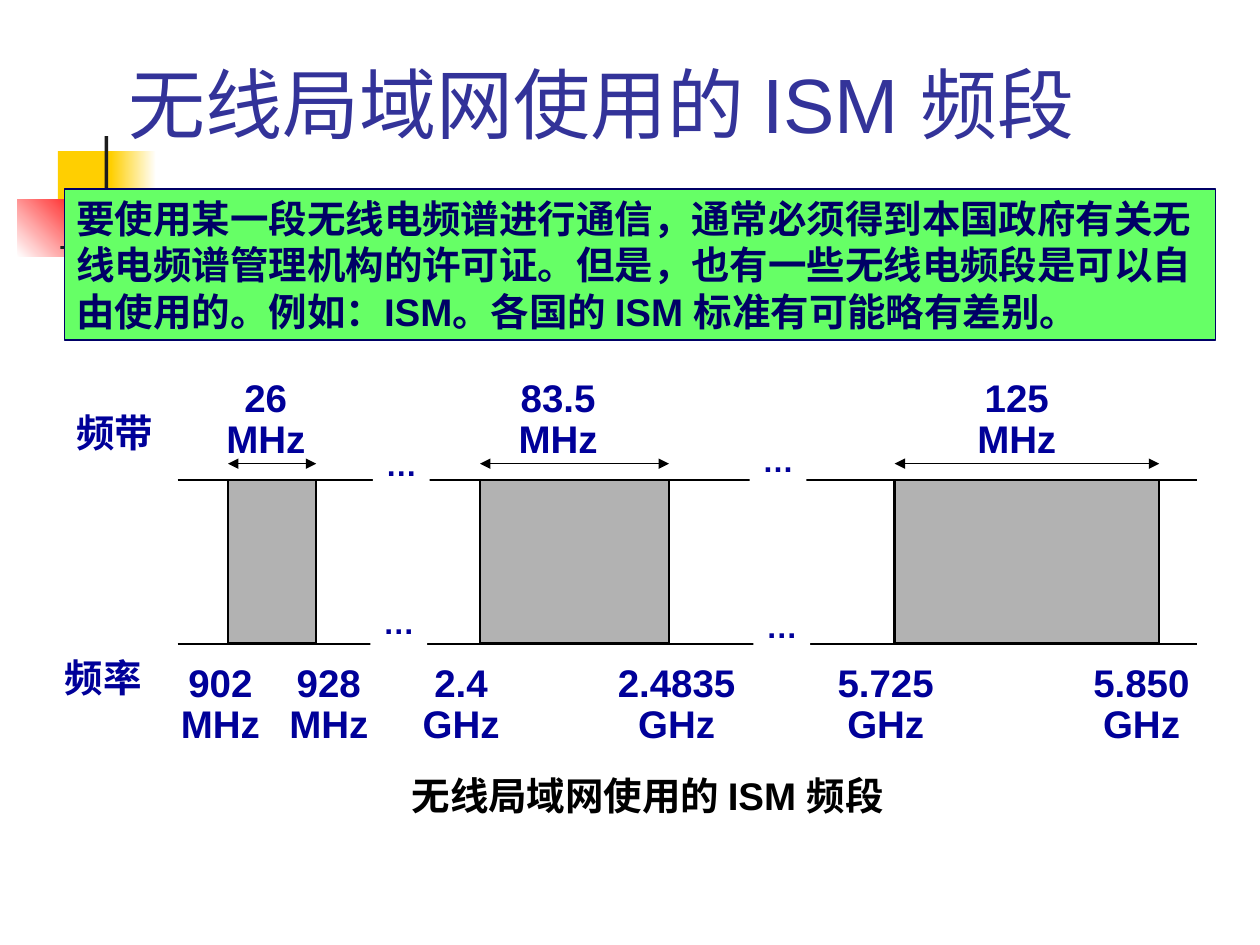
from lxml import etree
from pptx import Presentation, util as u
from pptx.dml.color import RGBColor
from pptx.enum import shapes, text
from pptx.oxml.ns import qn

# Content: places are columns and rows of a 100 x 75 grid
COLORS = {
    "title": "333399", "label": "000099", "note": "000066", "green": "66FF66",
    "band": "B2B2B2", "black": "000000", "white": "FFFFFF",
    "yellow": "FFCF01", "red": "FF0000", "dark": "1C1C1C",
}
TITLE = "无线局域网使用的 ISM 频段"
NOTE = ("要使用某一段无线电频谱进行通信，通常必须得到本国政府有关无线电频谱管理机构的许可证。"
        "但是，也有一些无线电频段是可以自由使用的。例如：ISM。各国的 ISM 标准有可能略有差别。")
# left, top, width, height, first colour, last colour, angle
ORNAMENTS = [
    (4.6, 12, 4.8, 5.2, "yellow", None, 0),
    (8.8, 12, 3.6, 5.2, "yellow", "white", 0),
    (1.4, 15.8, 6.1, 4.6, "white", "red", 45),
    (8.3, 10.8, 0.3, 11.5, "dark", None, 0),
    (4.8, 19.5, 90, 0.3, "dark", "white", 0),
]
AXIS_LEFT, AXIS_RIGHT, AXIS_TOP, AXIS_BOTTOM = 14.1, 95, 38.1, 51.1
ARROW_ROW = 36.8
BANDS = [(18.1, 25.1), (38.1, 53.1), (71, 92)]  # left and right edges
BANDWIDTHS = [(21.1, "26", "MHz"), (44.3, "83.5", "MHz"), (80.7, "125", "MHz")]
FREQUENCIES = [
    (17.5, "902", "MHz"), (26.1, "928", "MHz"), (36.6, "2.4", "GHz"),
    (53.7, "2.4835", "GHz"), (70.3, "5.725", "GHz"), (90.6, "5.850", "GHz"),
]
ROW_NAMES = [(9.1, 32, "频带"), (8.2, 51.4, "频率")]
GAPS = [(29.6, 34.8), (29.4, 47.4), (59.5, 34.5), (59.8, 47.7)]

presentation = Presentation()
presentation.slide_width, presentation.slide_height = u.Inches(10), u.Inches(7.5)
UNIT = presentation.slide_width / 100
slide = presentation.slides.add_slide(presentation.slide_layouts[5])


def grid(*values):
    return [round(value * UNIT) for value in values]


def color(name):
    return RGBColor.from_string(COLORS[name])


def add_box(left, top, width, height, fill, line=None, weight=1.5):
    shape = slide.shapes.add_shape(shapes.MSO_SHAPE.RECTANGLE,
                                   *grid(left, top, width, height))
    shape.shadow.inherit = False
    shape.fill.solid()
    shape.fill.fore_color.rgb = color(fill)
    if line:
        shape.line.color.rgb = color(line)
        shape.line.width = u.Pt(weight)
    else:
        shape.line.fill.background()
    return shape


def write(shape, lines, ink, size=22, align=text.PP_ALIGN.CENTER, wrap=True,
          spacing=None, bold=True):
    frame = shape.text_frame
    frame.text = "\n".join(lines)
    frame.word_wrap = wrap
    frame.auto_size = text.MSO_AUTO_SIZE.NONE
    frame.vertical_anchor = text.MSO_ANCHOR.TOP
    for paragraph in frame.paragraphs:
        paragraph.alignment = align
        if spacing:
            paragraph.line_spacing = spacing
        font = paragraph.font
        font.name, font.size, font.bold = "Arial", u.Pt(size), bold
        font.color.rgb = color(ink)


def add_label(center, top, lines, spacing=None):
    width = 14
    box = slide.shapes.add_textbox(*grid(center - width / 2, top, width, 7.3))
    write(box, lines, "label", wrap=False, spacing=spacing)


def add_line(left, right, row, weight, arrows=False):
    line = slide.shapes.add_connector(shapes.MSO_CONNECTOR.STRAIGHT,
                                      *grid(left, row, right, row))
    line.line.color.rgb = color("black")
    line.line.width = u.Pt(weight)
    if arrows:
        outline = line.line._get_or_add_ln()
        for end in ("a:headEnd", "a:tailEnd"):
            etree.SubElement(outline, qn(end), type="triangle")
    etree.SubElement(line._element.spPr, qn("a:effectLst"))


# Corner ornament
for left, top, width, height, first, last, angle in ORNAMENTS:
    ornament = add_box(left, top, width, height, first)
    if last:
        ornament.fill.gradient()
        ornament.fill.gradient_angle = angle
        for stop, name, position in zip(ornament.fill.gradient_stops, (first, last), (0, 1)):
            stop.color.rgb = color(name)
            stop.position = position

# Title
title = slide.shapes.title
title.left, title.top, title.width, title.height = grid(6.7, 3.5, 85.2, 8.8)
write(title, [TITLE], "title", size=44, align=text.PP_ALIGN.LEFT, bold=False)
title.text_frame.vertical_anchor = text.MSO_ANCHOR.BOTTOM
title.text_frame.margin_left = grid(3.5)[0]

# Labels above and below the bands
for center, *lines in BANDWIDTHS:
    add_label(center, 29.7, lines, 0.88)
for center, *lines in FREQUENCIES:
    add_label(center, 52.3, lines, 0.88)
for center, top, name in ROW_NAMES:
    add_label(center, top, [name])

# Frequency axes, bands and their widths
for row in (AXIS_TOP, AXIS_BOTTOM):
    add_line(AXIS_LEFT, AXIS_RIGHT, row, 1.5)
for left, right in BANDS:
    add_box(left, AXIS_TOP, right - left, AXIS_BOTTOM - AXIS_TOP, "band", "black")
    add_line(left, right, ARROW_ROW, 0.75, arrows=True)

# Breaks in the axes
for left, top in GAPS:
    write(add_box(left, top, 4.5, 4, "white"), ["…"], "label", size=18, wrap=False)

# Explanation and caption
note = add_box(5.1, 15, 91.4, 12, "green", "note", 0.75)
write(note, [NOTE], "note", align=text.PP_ALIGN.LEFT)
caption = slide.shapes.add_textbox(*grid(23, 60.8, 56.8, 4.7))
write(caption, [TITLE], "black")

presentation.save("out.pptx")
